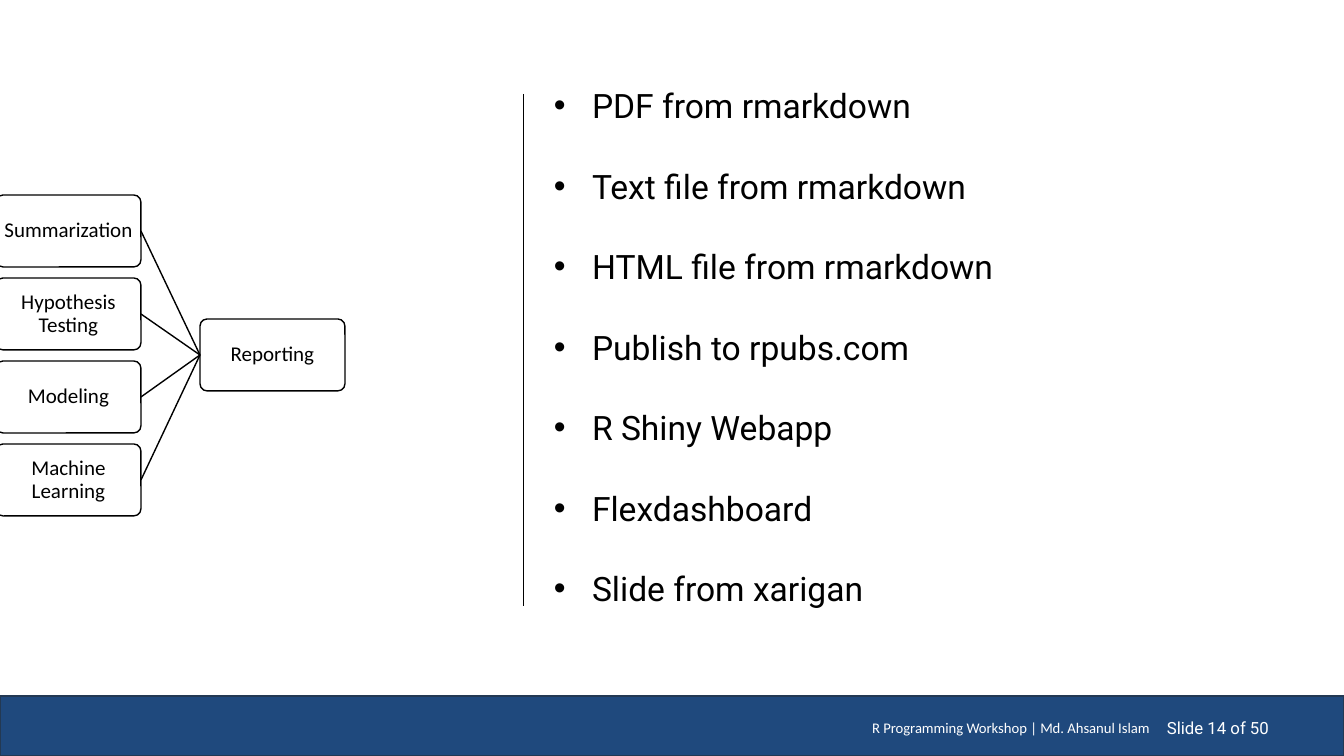
from lxml import etree
from pptx import Presentation
from pptx.dml.color import RGBColor
from pptx.enum.shapes import MSO_CONNECTOR as CONNECTOR, MSO_SHAPE as SHAPE
from pptx.enum.text import MSO_ANCHOR as ANCHOR, MSO_AUTO_SIZE as AUTO_SIZE, PP_ALIGN as ALIGN
from pptx.oxml.ns import qn
from pptx.util import Emu, Pt

PX_PER_INCH = 100.8
COLORS = {"navy": "1F497D", "navy_edge": "233953", "black": "000000", "white": "FFFFFF"}

STEPS = ["Summarization", "Hypothesis Testing", "Modeling", "Machine Learning"]
OUTPUTS = [
    "PDF from rmarkdown",
    "Text file from rmarkdown",
    "HTML file from rmarkdown",
    "Publish to rpubs.com",
    "R Shiny Webapp",
    "Flexdashboard",
    "Slide from xarigan",
]
BOX_WIDTH, BOX_HEIGHT = 145, 72
STEP_LEFT, STEP_TOP, STEP_PITCH = -4, 195, 83
REPORT_LEFT = 200
REPORT_TOP = 319


def px(length):
    return Emu(round(length * 914400 / PX_PER_INCH))


def color(name):
    return RGBColor.from_string(COLORS[name])


def style_font(paragraph, name, size, color_name):
    for run in paragraph.runs:
        run.font.name = name
        run.font.size = Pt(size)
        run.font.color.rgb = color(color_name)


def set_margins(frame, left, top, right, bottom):
    frame.margin_left, frame.margin_top = px(left), px(top)
    frame.margin_right, frame.margin_bottom = px(right), px(bottom)


def add_box(slide, kind, left, top, width, height, fill, line):
    shape = slide.shapes.add_shape(kind, px(left), px(top), px(width), px(height))
    shape.shadow.inherit = False
    shape.fill.solid()
    shape.fill.fore_color.rgb = color(fill)
    shape.line.color.rgb = color(line)
    shape.line.width = Pt(1)
    return shape


def add_step(slide, text, left, top):
    shape = add_box(slide, SHAPE.ROUNDED_RECTANGLE, left, top,
                    BOX_WIDTH, BOX_HEIGHT, "white", "black")
    shape.adjustments[0] = 0.1
    frame = shape.text_frame
    frame.text = text
    frame.word_wrap = True
    frame.vertical_anchor = ANCHOR.MIDDLE
    set_margins(frame, 3, 3, 3, 3)
    paragraph = frame.paragraphs[0]
    paragraph.alignment = ALIGN.CENTER
    paragraph.line_spacing = 0.9
    style_font(paragraph, "Calibri", 15, "black")
    return shape


def add_line(slide, start, end, width):
    line = slide.shapes.add_connector(CONNECTOR.STRAIGHT, *map(px, start + end))
    line.line.color.rgb = color("black")
    line.line.width = Pt(width)
    properties = line._element.find(qn("p:spPr"))
    etree.SubElement(properties, qn("a:effectLst"))
    return line


def add_footer_text(slide, text, left, width, font, size, margins):
    box = slide.shapes.add_textbox(px(left), px(708), px(width), px(40))
    frame = box.text_frame
    frame.text = text
    frame.word_wrap = True
    frame.vertical_anchor = ANCHOR.MIDDLE
    set_margins(frame, *margins)
    paragraph = frame.paragraphs[0]
    paragraph.alignment = ALIGN.RIGHT
    style_font(paragraph, font, size, "white")


def add_bullet(paragraph, indent):
    properties = paragraph._p.get_or_add_pPr()
    properties.set("marL", str(px(indent)))
    properties.set("indent", str(-px(indent)))
    etree.SubElement(properties, qn("a:buFont"), typeface="Arial")
    etree.SubElement(properties, qn("a:buChar"), char="•")


def fill_list(body, items):
    body.left, body.top, body.width, body.height = px(544), px(80), px(1021), px(539)
    frame = body.text_frame
    frame.text = "\n".join(items)
    frame.word_wrap = True
    frame.auto_size = AUTO_SIZE.NONE
    frame.vertical_anchor = ANCHOR.TOP
    set_margins(frame, 10, 5, 10, 5)
    for index, paragraph in enumerate(frame.paragraphs):
        add_bullet(paragraph, 38)
        paragraph.alignment = ALIGN.LEFT
        paragraph.line_spacing = 1.0
        paragraph.space_before = Pt(28.7 if index else 0)
        paragraph.space_after = Pt(0)
        style_font(paragraph, "Roboto", 24, "black")


def main():
    presentation = Presentation()
    presentation.slide_width, presentation.slide_height = px(1344), px(756)
    slide = presentation.slides.add_slide(presentation.slide_layouts[1])
    title = slide.shapes.title
    title._element.getparent().remove(title._element)

    # Footer band
    add_box(slide, SHAPE.RECTANGLE, 0, 696, 1344, 60, "navy", "navy_edge")
    add_footer_text(slide, "R Programming Workshop | Md. Ahsanul Islam",
                    604, 556, "Calibri", 10.5, (10, 5, 10, 5))
    add_footer_text(slide, "Slide 14 of 50", 1160, 119, "Roboto", 12, (5, 5, 10, 5))

    # Analysis steps leading to reporting
    report = add_step(slide, "Reporting", REPORT_LEFT, REPORT_TOP)
    for row, text in enumerate(STEPS):
        step_top = STEP_TOP + row * STEP_PITCH
        step = add_step(slide, text, STEP_LEFT, step_top)
        link = add_line(slide, (STEP_LEFT + BOX_WIDTH, step_top + BOX_HEIGHT // 2),
                        (REPORT_LEFT, REPORT_TOP + BOX_HEIGHT // 2), 1)
        link.begin_connect(step, 3)
        link.end_connect(report, 1)

    # Report formats
    add_line(slide, (524, 94), (524, 606), 0.75)
    fill_list(slide.placeholders[1], OUTPUTS)

    presentation.save("out.pptx")


if __name__ == "__main__":
    main()
